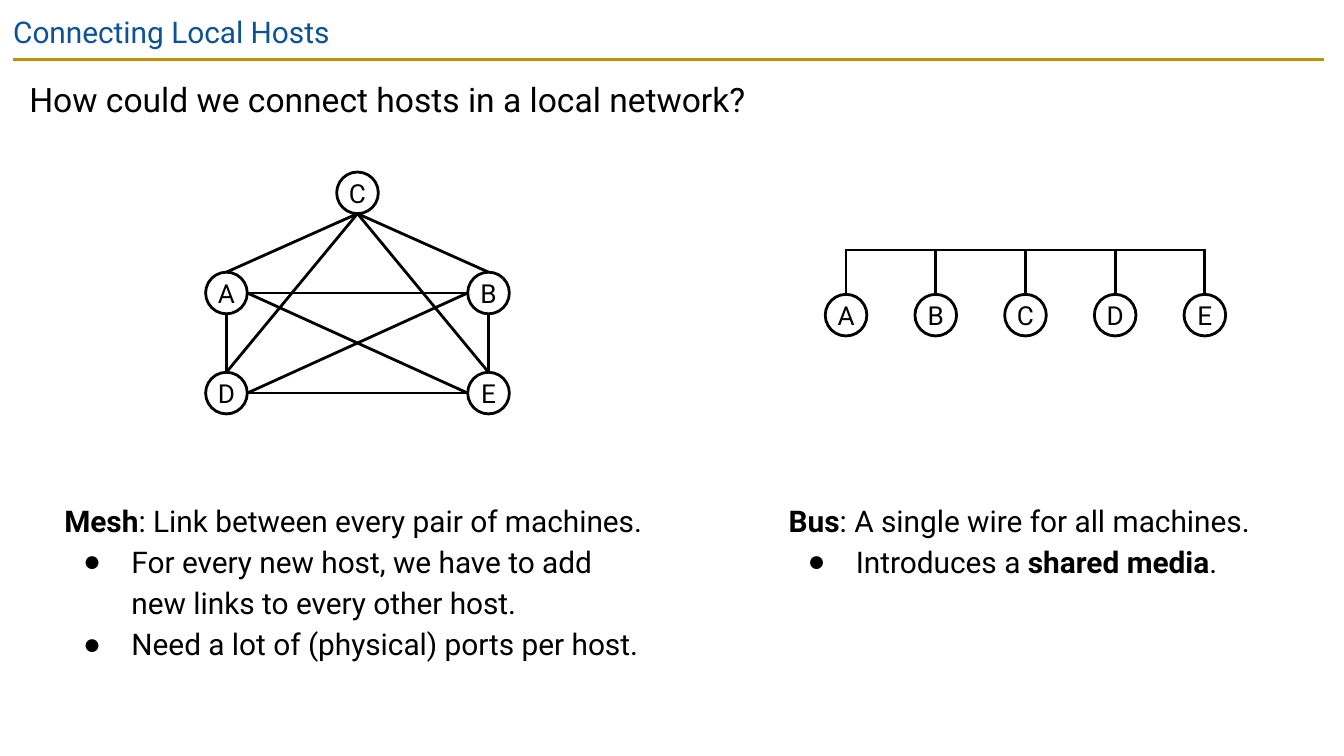
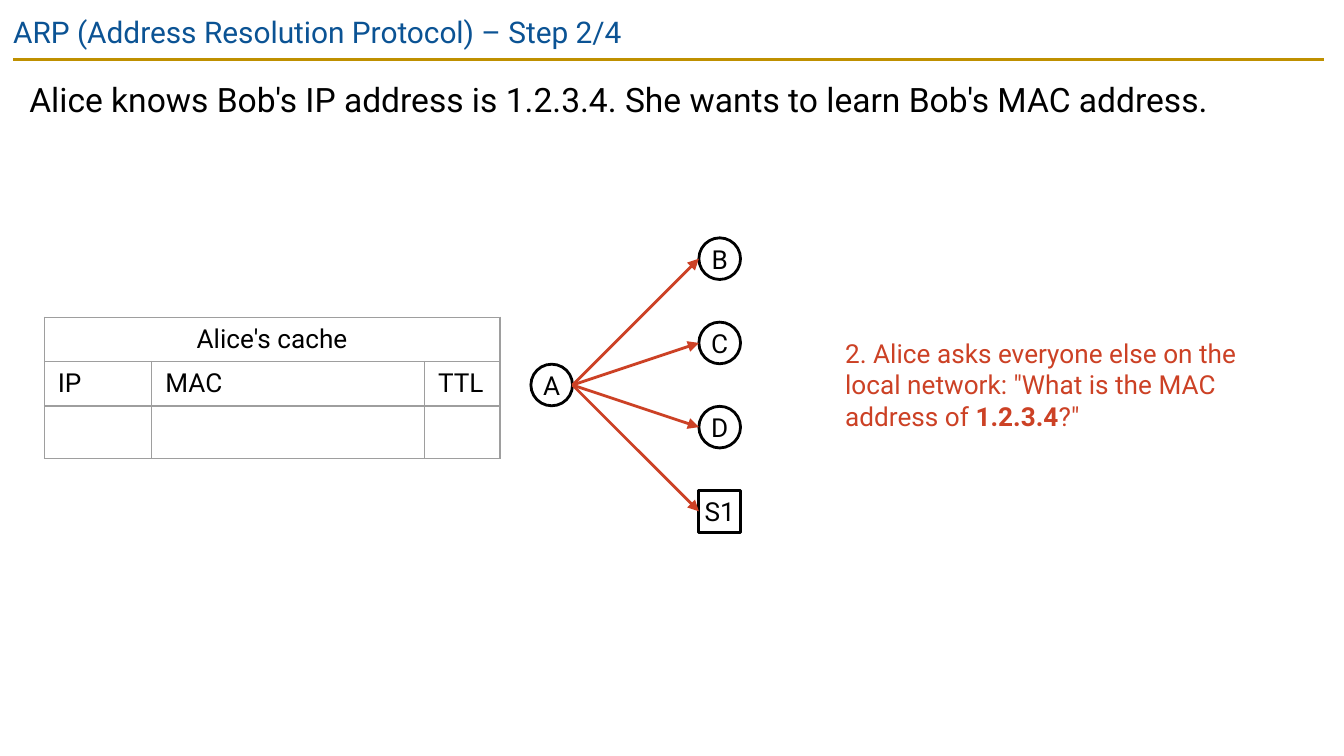
from collections import namedtuple

from lxml.etree import SubElement
from pptx import Presentation
from pptx.dml.color import RGBColor
from pptx.enum.shapes import MSO_CONNECTOR as Connector, MSO_SHAPE as Shape
from pptx.enum.text import MSO_ANCHOR as Anchor, MSO_AUTO_SIZE as AutoSize, PP_ALIGN as Align
from pptx.oxml.ns import qn
from pptx.util import Inches, Pt

Box = namedtuple("Box", "left top width height")

FONT = "Roboto"
BLACK, WHITE = "000000", "FFFFFF"
TITLE_BLUE, RULE_GOLD, MESSAGE_RED, GRID_GREY = "0B5394", "BF9000", "CC4125", "9E9E9E"
NODE_SIZE = 0.31
LINE_WIDTH = 1.5
LOOSE = 1.15  # line spacing of body text


def color(hex_value):
    return RGBColor.from_string(hex_value)


def apply_format(target, formats):
    for name, value in formats.items():
        setattr(target, name, value)


def add_runs(paragraph, parts, size, hex_value=BLACK):
    """Write a string, or a list of (text, bold) parts, into a paragraph."""
    if isinstance(parts, str):
        parts = [(parts, False)]
    for text, bold in parts:
        run = paragraph.add_run()
        run.text = text
        apply_format(run.font, {"name": FONT, "size": Pt(size), "bold": bold})
        run.font.color.rgb = color(hex_value)


def add_bullet(paragraph):
    properties = paragraph._p.get_or_add_pPr()
    properties.set("marL", str(Inches(0.5)))
    properties.set("indent", str(Inches(-0.36)))
    bullet_color = SubElement(properties, qn("a:buClr"))
    SubElement(bullet_color, qn("a:srgbClr"), val=BLACK)
    SubElement(properties, qn("a:buFont"), typeface="Arial")
    SubElement(properties, qn("a:buChar"), char="●")


def add_text(slide, box, paragraphs, size, hex_value=BLACK, spacing=None, grow=False):
    """The first paragraph is plain, those after it are bullets."""
    shape = slide.shapes.add_textbox(*map(Inches, box))
    frame = shape.text_frame
    margins = ("margin_left", "margin_top", "margin_right", "margin_bottom")
    apply_format(frame, dict.fromkeys(margins, Inches(0.1)))
    apply_format(frame, {
        "word_wrap": True,
        "auto_size": AutoSize.SHAPE_TO_FIT_TEXT if grow else AutoSize.NONE,
    })
    for index, parts in enumerate(paragraphs):
        paragraph = frame.add_paragraph() if index else frame.paragraphs[0]
        if index:
            add_bullet(paragraph)
        if spacing:
            paragraph.line_spacing = spacing
        add_runs(paragraph, parts, size, hex_value)


def add_line(slide, start, end, hex_value=BLACK, arrow=False):
    connector = slide.shapes.add_connector(Connector.STRAIGHT, *map(Inches, (*start, *end)))
    connector.line.color.rgb = color(hex_value)
    connector.line.width = Pt(LINE_WIDTH)
    if arrow:
        SubElement(connector.line._get_or_add_ln(), qn("a:tailEnd"), type="triangle")
    SubElement(connector._element.spPr, qn("a:effectLst"))
    return connector


def add_node(slide, label, left, top, kind=Shape.OVAL):
    shape = slide.shapes.add_shape(kind, *map(Inches, (left, top, NODE_SIZE, NODE_SIZE)))
    shape.shadow.inherit = False
    shape.fill.solid()
    shape.fill.fore_color.rgb = color(WHITE)
    shape.line.color.rgb = color(BLACK)
    shape.line.width = Pt(LINE_WIDTH)
    frame = shape.text_frame
    apply_format(frame, {
        "margin_left": 0, "margin_top": 0, "margin_right": 0, "margin_bottom": 0,
        "vertical_anchor": Anchor.MIDDLE, "word_wrap": True,
    })
    frame.paragraphs[0].alignment = Align.CENTER
    add_runs(frame.paragraphs[0], label, 14)
    return shape


def side_point(corner, side):
    """Middle of one side of the node whose top left corner is given."""
    across, down = {"top": (0.5, 0), "left": (0, 0.5), "bottom": (0.5, 1), "right": (1, 0.5)}[side]
    return corner[0] + across * NODE_SIZE, corner[1] + down * NODE_SIZE


def add_base_slide(presentation, title, lead):
    slide = presentation.slides.add_slide(presentation.slide_layouts[6])
    add_line(slide, (0.1, 0.44), (9.85, 0.44), RULE_GOLD)
    add_text(slide, Box(0, 0, 10, 0.43), [title], 16, TITLE_BLUE)
    add_text(slide, Box(0.12, 0.44, 9.74, 0.65), [lead], 18, spacing=LOOSE)
    return slide


def draw_mesh(slide, box):
    column_step = (box.width - NODE_SIZE) / 2
    row_step = (box.height - NODE_SIZE) / 2
    cells = {"C": (1, 0), "A": (0, 1), "B": (2, 1), "D": (0, 2), "E": (2, 2)}
    corners = {
        label: (box.left + column * column_step, box.top + row * row_step)
        for label, (column, row) in cells.items()
    }
    for label, corner in corners.items():
        add_node(slide, label, *corner)
    # Every pair of hosts, grouped by the sides its link joins
    links = {
        ("bottom", "top"): ("CA", "CB", "CD", "CE", "AD", "BE"),
        ("right", "left"): ("AB", "AE", "DB", "DE"),
    }
    for (start_side, end_side), pairs in links.items():
        for start, end in pairs:
            add_line(slide, side_point(corners[start], start_side),
                     side_point(corners[end], end_side))


def draw_bus(slide, box):
    labels = "ABCDE"
    step = (box.width - NODE_SIZE) / (len(labels) - 1)
    node_top = box.top + box.height - NODE_SIZE
    for index, label in enumerate(labels):
        corner = (box.left + index * step, node_top)
        add_node(slide, label, *corner)
        x, y = side_point(corner, "top")
        add_line(slide, (x, y), (x, box.top))
    # Shared wire, reaching just past the outer drops
    inset = NODE_SIZE / 2 - 0.01
    add_line(slide, (box.left + inset, box.top), (box.left + box.width - inset, box.top))


def draw_broadcast(slide, box):
    sender = (box.left, box.top + (box.height - NODE_SIZE) / 2)
    add_node(slide, "A", *sender)
    receivers = ("B", "C", "D", "S1")
    step = (box.height - NODE_SIZE) / (len(receivers) - 1)
    for index, label in enumerate(receivers):
        corner = (box.left + box.width - NODE_SIZE, box.top + index * step)
        is_switch = label.startswith("S")
        node = add_node(slide, label, *corner, Shape.RECTANGLE if is_switch else Shape.OVAL)
        arrow = add_line(slide, side_point(sender, "right"), side_point(corner, "left"),
                         MESSAGE_RED, arrow=True)
        if is_switch:
            arrow.end_connect(node, 1)


def style_cell(cell):
    properties = cell._tc.get_or_add_tcPr()
    for edge in ("a:lnL", "a:lnR", "a:lnT", "a:lnB"):
        line = SubElement(properties, qn(edge), w=str(Pt(0.75)))
        fill = SubElement(line, qn("a:solidFill"))
        SubElement(fill, qn("a:srgbClr"), val=GRID_GREY)
    cell.fill.background()
    apply_format(cell, {
        "margin_left": Inches(0.1), "margin_right": Inches(0.1),
        "margin_top": Inches(0.05), "margin_bottom": Inches(0.05),
    })


def fill_cell(cell, text):
    paragraph = cell.text_frame.paragraphs[0]
    if text:
        add_runs(paragraph, text, 14)
    else:
        # The font of an empty cell sets its height
        end_format = SubElement(paragraph._p, qn("a:endParaRPr"), sz="1800")
        SubElement(end_format, qn("a:latin"), typeface=FONT)


def draw_cache_table(slide, box):
    rows = (("Alice's cache", "", ""), ("IP", "MAC", "TTL"), ("", "", ""))
    column_widths = (0.8, 2.03, 0.56)
    table = slide.shapes.add_table(len(rows), len(column_widths), *map(Inches, box)).table
    apply_format(table, {"first_row": False, "horz_banding": False})
    for column, width in zip(table.columns, column_widths):
        column.width = Inches(width)
    for row_index, texts in enumerate(rows):
        table.rows[row_index].height = Inches(box.height / len(rows))
        for column_index, text in enumerate(texts):
            cell = table.cell(row_index, column_index)
            style_cell(cell)
            fill_cell(cell, text)
    # Heading across all columns
    heading = table.cell(0, 0)
    heading.merge(table.cell(0, len(column_widths) - 1))
    heading.text_frame.paragraphs[0].alignment = Align.CENTER


def add_topology_slide(presentation):
    slide = add_base_slide(presentation, "Connecting Local Hosts",
                           "How could we connect hosts in a local network?")
    draw_mesh(slide, Box(1.53, 1.28, 2.26, 1.8))
    draw_bus(slide, Box(6.14, 1.86, 2.98, 0.64))
    add_text(slide, Box(0.38, 3.6, 4.55, 1.4), [
        [("Mesh", True), (": Link between every pair of machines.", False)],
        "For every new host, we have to add new links to every other host.",
        "Need a lot of (physical) ports per host.",
    ], 16, spacing=LOOSE, grow=True)
    add_text(slide, Box(5.77, 3.6, 3.73, 0.78), [
        [("Bus", True), (": A single wire for all machines.", False)],
        [("Introduces a ", False), ("shared media", True), (".", False)],
    ], 16, spacing=LOOSE, grow=True)


def add_arp_slide(presentation):
    slide = add_base_slide(
        presentation, "ARP (Address Resolution Protocol) – Step 2/4",
        "Alice knows Bob's IP address is 1.2.3.4. She wants to learn Bob's MAC address.")
    draw_cache_table(slide, Box(0.33, 2.36, 3.39, 0.84))
    draw_broadcast(slide, Box(3.95, 1.77, 1.56, 2.19))
    add_text(slide, Box(6.19, 2.41, 3.34, 0.91), [[
        ('2. Alice asks everyone else on the local network: "What is the MAC address of ', False),
        ("1.2.3.4", True), ('?"', False),
    ]], 14, MESSAGE_RED, grow=True)


def main():
    presentation = Presentation()
    presentation.slide_width = Inches(10)
    presentation.slide_height = Inches(10) * 9 // 16
    add_topology_slide(presentation)
    add_arp_slide(presentation)
    presentation.save("out.pptx")


if __name__ == "__main__":
    main()
